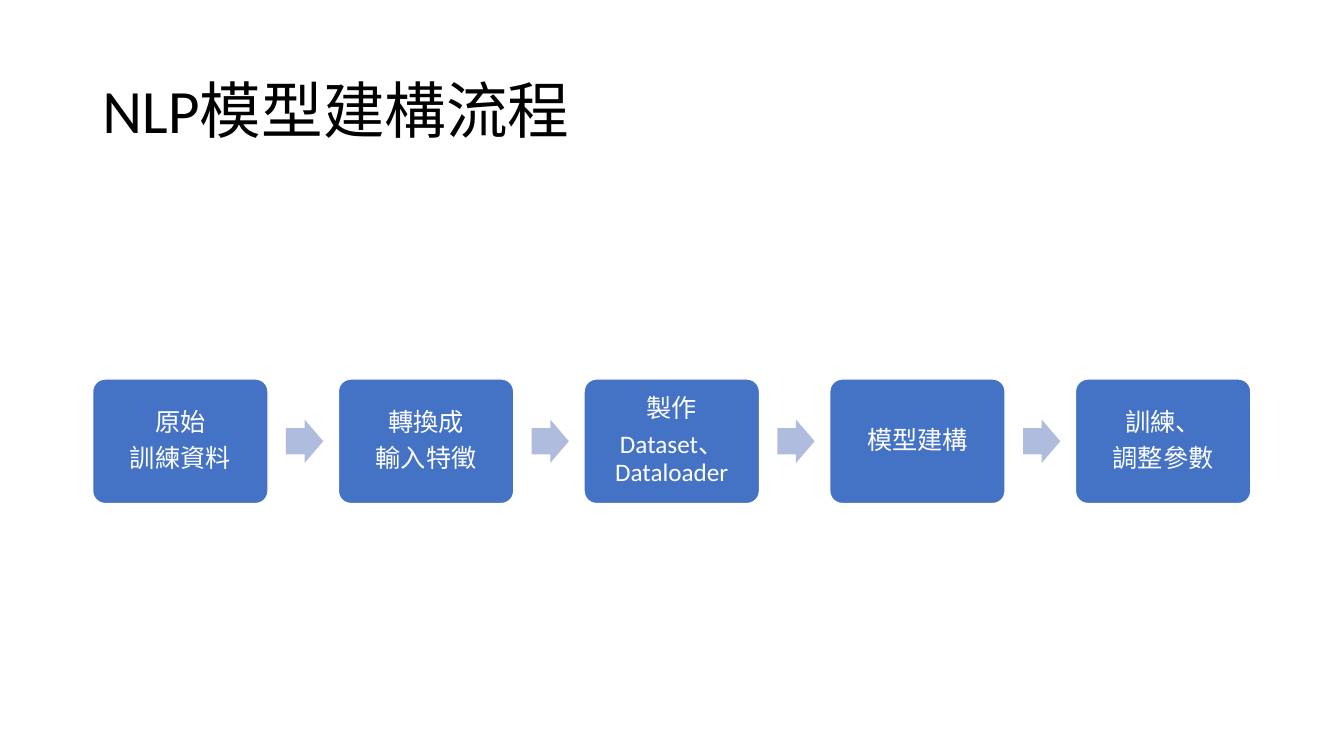
from pptx import Presentation
from pptx.dml.color import RGBColor
from pptx.enum.shapes import MSO_SHAPE
from pptx.enum.text import MSO_ANCHOR, PP_ALIGN
from pptx.util import Pt

BLACK = RGBColor(0x00, 0x00, 0x00)
WHITE = RGBColor(0xFF, 0xFF, 0xFF)
BLUE = RGBColor(0x44, 0x72, 0xC4)
PALE = RGBColor(0xB0, 0xBC, 0xDE)

STEPS = [
    ["原始", "訓練資料"],
    ["轉換成", "輸入特徵"],
    ["製作", "Dataset、Dataloader"],
    ["模型建構"],
    ["訓練、", "調整參數"],
]
LEFT, TOP, WIDTH, HEIGHT = 66.2, 270.7, 125.3, 89
PITCH = 175.5
ARROW_W, ARROW_H = 26.6, 31
ARROW_X = 138.1


class Flow:
    """Draws the parts of a process slide in one style."""

    def __init__(self, slide, font="Calibri"):
        self.slide = slide
        self.font = font

    def label(self, frame, lines, size, color, align, after=0):
        frame.word_wrap = True
        frame.vertical_anchor = MSO_ANCHOR.MIDDLE
        for i, line in enumerate(lines):
            para = frame.add_paragraph() if i else frame.paragraphs[0]
            para.alignment = align
            para.line_spacing = 0.9
            para.space_after = Pt(after)
            run = para.add_run()
            run.text = line
            run.font.size = Pt(size)
            run.font.name = self.font
            run.font.color.rgb = color

    def title(self, text, x, y, w, h):
        box = self.slide.shapes.add_textbox(Pt(x), Pt(y), Pt(w), Pt(h))
        self.label(box.text_frame, [text], 44, BLACK, PP_ALIGN.LEFT)

    def shape(self, kind, x, y, w, h, fill, adjust):
        item = self.slide.shapes.add_shape(kind, Pt(x), Pt(y), Pt(w), Pt(h))
        item.shadow.inherit = False
        item.fill.solid()
        item.fill.fore_color.rgb = fill
        item.line.fill.background()
        for i, value in enumerate(adjust):
            item.adjustments[i] = value
        return item

    def step(self, lines, x):
        box = self.shape(MSO_SHAPE.ROUNDED_RECTANGLE, x, TOP, WIDTH, HEIGHT, BLUE, [0.1])
        box.line.color.rgb = WHITE
        box.line.width = Pt(1)
        frame = box.text_frame
        frame.margin_left = frame.margin_right = Pt(5)
        frame.margin_top = frame.margin_bottom = Pt(5)
        self.label(frame, lines, 18, WHITE, PP_ALIGN.CENTER, after=6.3)

    def arrow(self, x):
        y = TOP + (HEIGHT - ARROW_H) / 2
        self.shape(MSO_SHAPE.RIGHT_ARROW, x, y, ARROW_W, ARROW_H, PALE, [0.6, 0.5])


def main():
    deck = Presentation()
    deck.slide_width, deck.slide_height = Pt(960), Pt(540)
    flow = Flow(deck.slides.add_slide(deck.slide_layouts[6]))
    flow.title("NLP模型建構流程", 66, 28.8, 828, 104.4)
    for i, lines in enumerate(STEPS):
        x = LEFT + i * PITCH
        flow.step(lines, x)
        if i < len(STEPS) - 1:
            flow.arrow(x + ARROW_X)
    deck.save("out.pptx")


if __name__ == "__main__":
    main()
